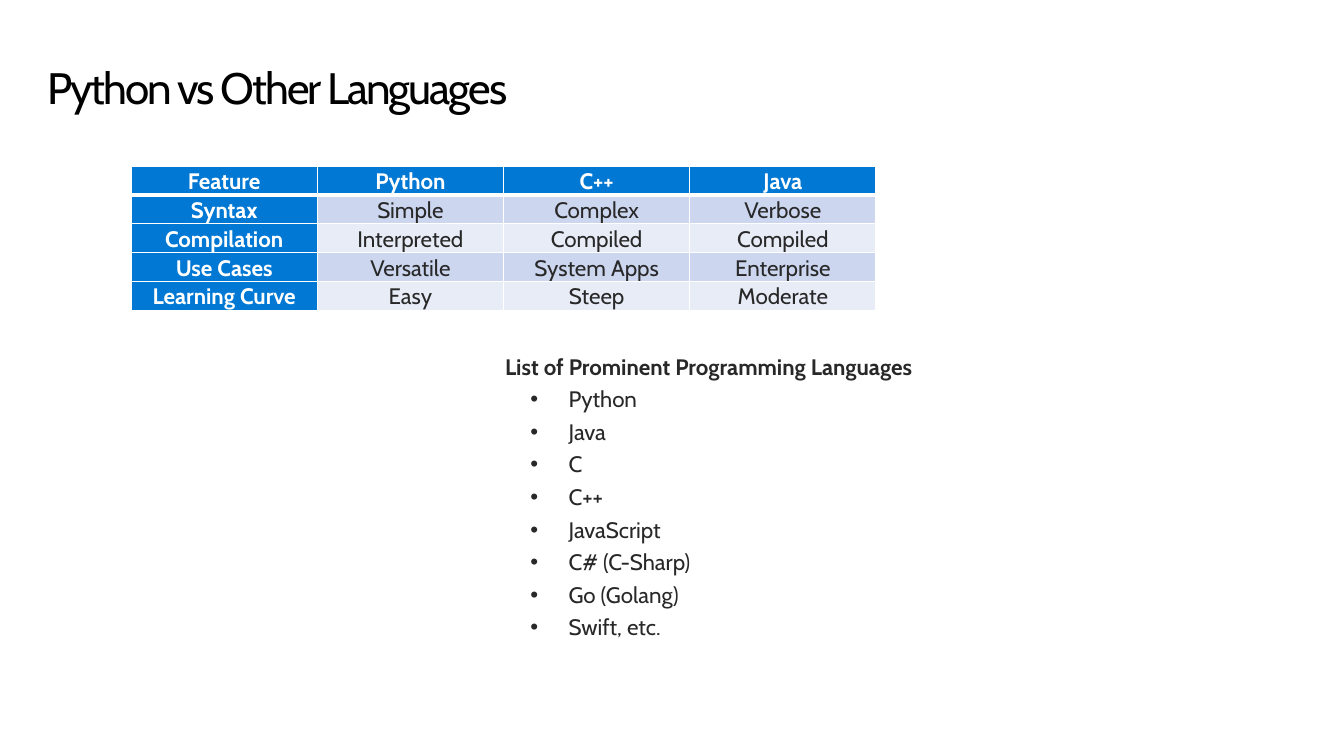
from dataclasses import dataclass

from lxml.etree import SubElement
from pptx import Presentation
from pptx.dml.color import RGBColor
from pptx.enum.text import MSO_ANCHOR as Anchor, PP_ALIGN as Align
from pptx.oxml.ns import qn
from pptx.slide import Slide
from pptx.table import _Cell as Cell
from pptx.text.text import TextFrame, _Paragraph as Paragraph
from pptx.util import Inches, Pt

FONT = "Cabin"
BLACK = RGBColor(0x00, 0x00, 0x00)
WHITE = RGBColor(0xFF, 0xFF, 0xFF)
INK = RGBColor(0x28, 0x28, 0x28)
BLUE = RGBColor(0x00, 0x78, 0xD4)
BAND_DARK = RGBColor(0xCC, 0xD6, 0xEF)
BAND_LIGHT = RGBColor(0xE7, 0xEC, 0xF7)

COMPARISON = [
    ("Feature", "Python", "C++", "Java"),
    ("Syntax", "Simple", "Complex", "Verbose"),
    ("Compilation", "Interpreted", "Compiled", "Compiled"),
    ("Use Cases", "Versatile", "System Apps", "Enterprise"),
    ("Learning Curve", "Easy", "Steep", "Moderate"),
]
LANGUAGES = ["Python", "Java", "C", "C++", "JavaScript", "C# (C-Sharp)",
             "Go (Golang)", "Swift, etc."]


@dataclass
class TextStyle:
    color: RGBColor
    size: float = 16
    bold: bool = False
    line_spacing: float = 0.9
    space_after: float = 0
    alignment: Align = Align.LEFT


TITLE = TextStyle(BLACK, size=31.4)
HEADER_CELL = TextStyle(WHITE, bold=True, line_spacing=1.07, alignment=Align.CENTER)
BODY_CELL = TextStyle(INK, line_spacing=1.07, alignment=Align.CENTER)
LIST_HEADING = TextStyle(INK, bold=True, space_after=6)
LIST_ITEM = TextStyle(INK, space_after=6)


def set_all(target: object, values: dict) -> None:
    for name, value in values.items():
        setattr(target, name, value)


def write(para: Paragraph, text: str, style: TextStyle) -> None:
    set_all(para, {"alignment": style.alignment, "line_spacing": style.line_spacing,
                   "space_before": Pt(0), "space_after": Pt(style.space_after)})
    span = para.add_run()
    span.text = text
    set_all(span.font, {"name": FONT, "size": Pt(style.size), "bold": style.bold})
    span.font.color.rgb = style.color


def add_box(page: Slide, left: float, top: float, width: float, height: float,
            margins: tuple[float, float, float, float]) -> TextFrame:
    box = page.shapes.add_textbox(*map(Inches, (left, top, width, height)))
    frame = box.text_frame
    sides = ("margin_left", "margin_top", "margin_right", "margin_bottom")
    set_all(frame, {"word_wrap": True, "vertical_anchor": Anchor.TOP,
                    **dict(zip(sides, map(Inches, margins)))})
    return frame


def add_bullet(para: Paragraph) -> None:
    properties = para._p.get_or_add_pPr()
    properties.set("marL", str(Inches(0.63)))
    properties.set("indent", str(Inches(-0.38)))
    SubElement(properties, qn("a:buFont"), typeface="Arial")
    SubElement(properties, qn("a:buChar"), char="•")


def set_borders(cell: Cell, bottom_width: float) -> None:
    properties = cell._tc.get_or_add_tcPr()
    for side, width in (("L", 1), ("R", 1), ("T", 1), ("B", bottom_width)):
        line = SubElement(properties, qn(f"a:ln{side}"), w=str(Pt(width)))
        fill = SubElement(line, qn("a:solidFill"))
        SubElement(fill, qn("a:srgbClr"), val=str(WHITE))


def add_comparison(page: Slide) -> None:
    rows, columns = len(COMPARISON), len(COMPARISON[0])
    table = page.shapes.add_table(rows, columns, Inches(1.3), Inches(1.65),
                                  Inches(7.39), Inches(1.35)).table
    for row_index, words in enumerate(COMPARISON):
        band = BAND_DARK if row_index % 2 else BAND_LIGHT
        for column_index, word in enumerate(words):
            is_header = row_index == 0 or column_index == 0
            cell = table.cell(row_index, column_index)
            set_all(cell, {"margin_left": Inches(0.07), "margin_right": Inches(0.07),
                           "margin_top": 0, "margin_bottom": 0,
                           "vertical_anchor": Anchor.TOP})
            set_borders(cell, 3 if row_index == 0 else 1)
            cell.fill.solid()
            cell.fill.fore_color.rgb = BLUE if is_header else band
            write(cell.text_frame.paragraphs[0], word,
                  HEADER_CELL if is_header else BODY_CELL)


def main() -> None:
    deck = Presentation()
    set_all(deck, {"slide_width": Inches(13.33), "slide_height": Inches(7.5)})
    page = deck.slides.add_slide(deck.slide_layouts[6])

    # Title, with tightened letters
    title = add_box(page, 0.47, 0.48, 12.39, 0.81, (0, 0.18, 0, 0)).paragraphs[0]
    write(title, "Python vs Other Languages", TITLE)
    title.runs[0].font._element.set("spc", "-150")

    # Comparison table
    add_comparison(page)

    # Language list
    frame = add_box(page, 4.81, 3.37, 6.86, 3.3, (0.2, 0.16, 0.2, 0.16))
    write(frame.paragraphs[0], "List of Prominent Programming Languages", LIST_HEADING)
    for language in LANGUAGES:
        para = frame.add_paragraph()
        write(para, language, LIST_ITEM)
        add_bullet(para)

    deck.save("out.pptx")


if __name__ == "__main__":
    main()
